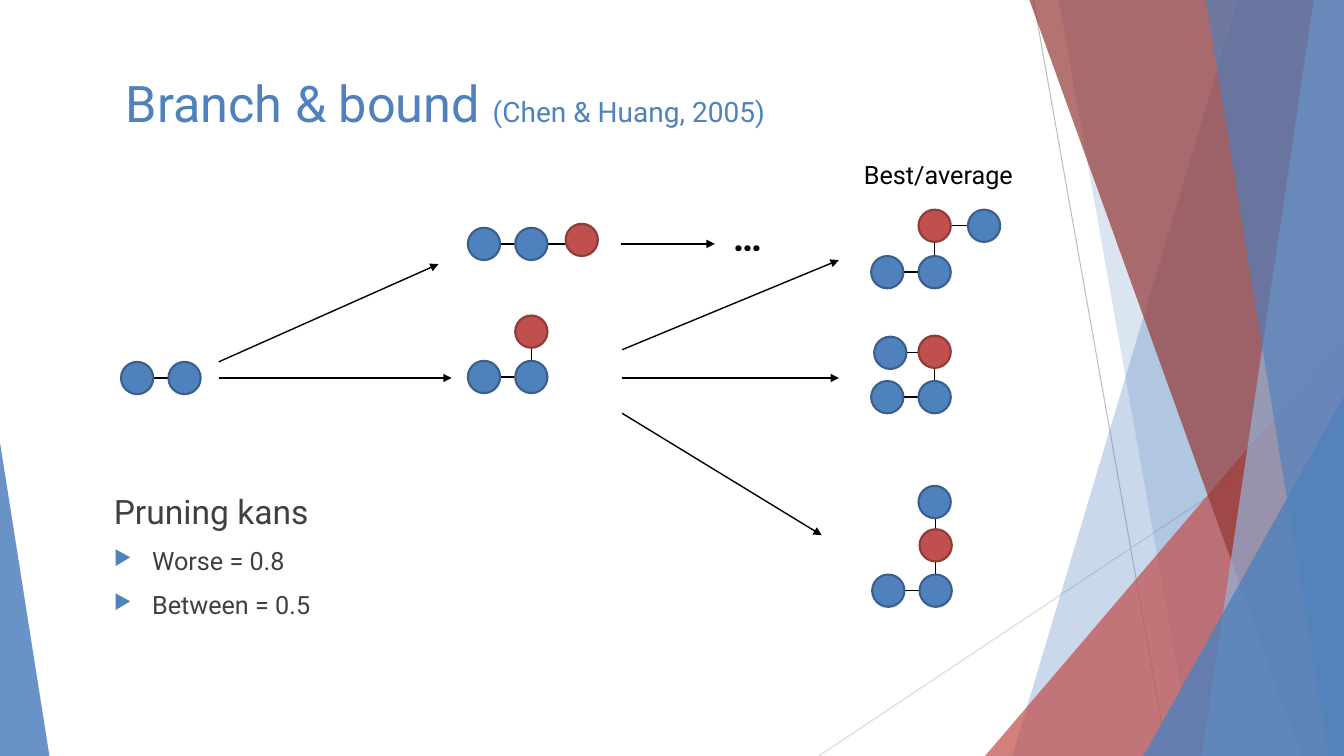
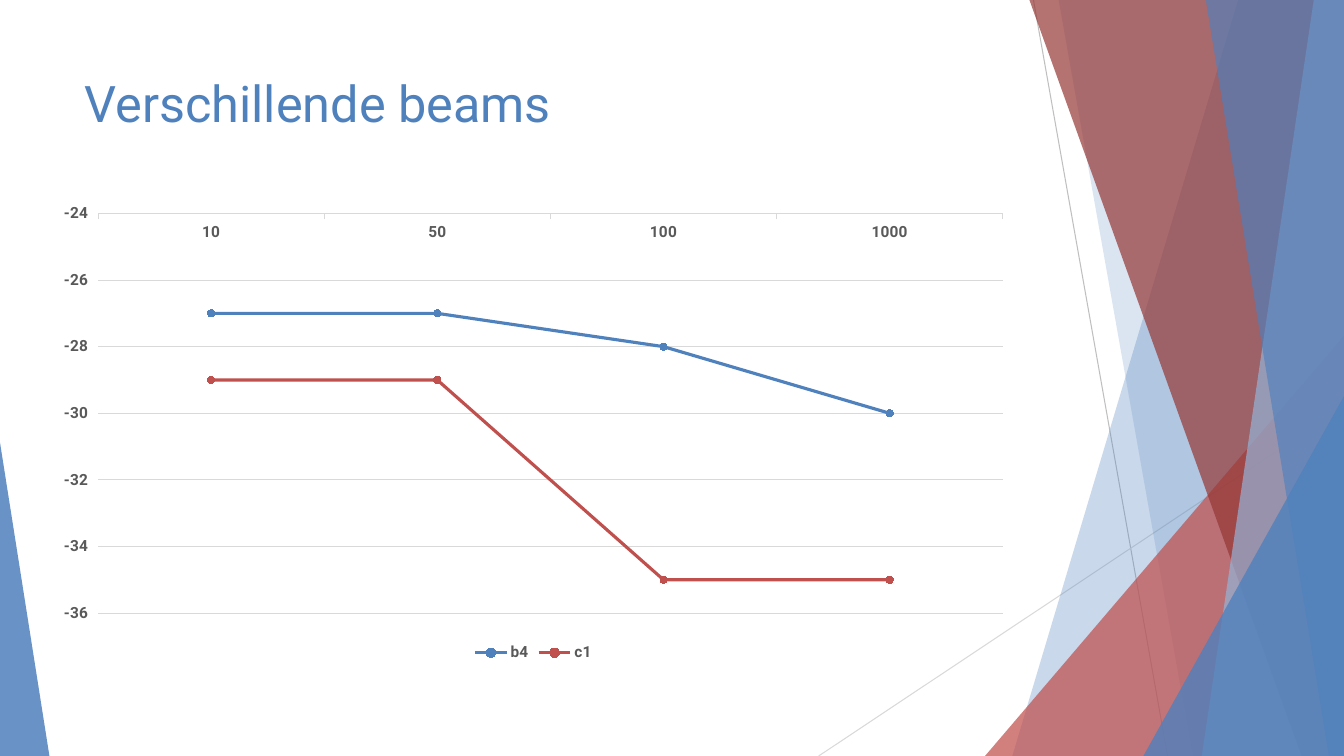
import dataclasses
import functools

import lxml.etree
import pptx
import pptx.chart.data
import pptx.dml.color
import pptx.enum.chart
import pptx.enum.shapes
import pptx.enum.text
import pptx.oxml.ns
import pptx.util

Inches, Pt = pptx.util.Inches, pptx.util.Pt
Shape = pptx.enum.shapes.MSO_SHAPE
qn = pptx.oxml.ns.qn
rgb = pptx.dml.color.RGBColor.from_string


@dataclasses.dataclass(frozen=True)
class Theme:
    face: str = "Roboto"
    blue: str = "4F81BD"
    navy: str = "3A5F8C"
    sky: str = "95B3D7"
    red: str = "C0504D"
    wine: str = "8E3B39"
    brick: str = "953735"
    black: str = "000000"
    dark: str = "404040"
    gray: str = "595959"
    mid: str = "BFBFBF"
    pale: str = "D9D9D9"
    title: int = 36
    dots: int = 28
    head: int = 24
    cite: int = 20
    text: int = 18
    axis: int = 11
    chart: int = 10

    def font(self, size, tint, bold=False):
        return {"size": Pt(size), "name": self.face, "bold": bold,
                "color.rgb": rgb(tint)}


T = Theme()
WIDE, HIGH = 13.33, 7.5
BALL = 0.32
STEP = 0.47


# ---- Shared helpers ----
def style(item, vals):
    """Set each value on the item; dots in a key lead to inner objects."""
    for key, val in vals.items():
        *way, last = key.split(".")
        setattr(functools.reduce(getattr, way, item), last, val)


def paint(shape, tint, alpha=100, edge=None):
    shape.shadow.inherit = False
    shape.fill.solid()
    shape.fill.fore_color.rgb = rgb(tint)
    if alpha < 100:
        clr = shape.element.spPr.find(".//" + qn("a:srgbClr"))
        lxml.etree.SubElement(clr, qn("a:alpha"), val=str(alpha * 1000))
    if edge:
        style(shape.line, {"color.rgb": rgb(edge), "width": Pt(1.5)})
    else:
        shape.line.fill.background()


def rule(shapes, start, end, tint=T.black, width=1, arrow=False):
    line = shapes.add_connector(
        pptx.enum.shapes.MSO_CONNECTOR.STRAIGHT,
        *(Inches(v) for v in (*start, *end)))
    style(line.line, {"color.rgb": rgb(tint), "width": Pt(width)})
    props = line.element.spPr
    if arrow:
        lxml.etree.SubElement(props.find(qn("a:ln")), qn("a:tailEnd"),
                              type="triangle")
    lxml.etree.SubElement(props, qn("a:effectLst"))


def bullet(para):
    props = para._p.get_or_add_pPr()
    props.set("marL", str(Inches(0.38)))
    props.set("indent", str(-Inches(0.38)))
    clr = lxml.etree.SubElement(props, qn("a:buClr"))
    lxml.etree.SubElement(clr, qn("a:srgbClr"), val=T.blue)
    lxml.etree.SubElement(props, qn("a:buSzPct"), val="80000")
    lxml.etree.SubElement(props, qn("a:buChar"), char="▶")


def write(slide, box, paras, wrap=True):
    """Each paragraph is (has bullet, [(text, font values), ...])."""
    frame = slide.shapes.add_textbox(*(Inches(v) for v in box)).text_frame
    style(frame, {"word_wrap": wrap,
                  "vertical_anchor": pptx.enum.text.MSO_ANCHOR.TOP})
    for num, (dot, runs) in enumerate(paras):
        para = frame.add_paragraph() if num else frame.paragraphs[0]
        if dot:
            bullet(para)
        if num:
            para.space_before = Pt(10)
        for text, font in runs:
            run = para.add_run()
            run.text = text
            style(run.font, font)


# ---- Shared slide parts ----
def facets(slide, box):
    x, y, w, h = box
    group = slide.shapes.add_group_shape().shapes

    def band(top, base, tint, alpha):
        spots = [(x + top, y), (x + w, y), (x + w, y + h), (x + base, y + h)]
        spots = [(Inches(a), Inches(b)) for a, b in spots]
        form = group.build_freeform(*spots[0], scale=1.0)
        form.add_line_segments(spots[1:], close=True)
        paint(form.convert_to_shape(), tint, alpha)

    def wedge(left, wide, tall, peak, tint, alpha):
        shape = group.add_shape(
            Shape.ISOSCELES_TRIANGLE, Inches(x + left), Inches(y + h - tall),
            Inches(wide), Inches(tall))
        shape.adjustments[0] = peak
        paint(shape, tint, alpha)

    rule(group, (x + 10.25, y), (x + 11.58, y + h), T.mid, 0.75)
    rule(group, (x + w, y + 4.03), (x + 8.12, y + h), T.pale, 0.75)
    band(12.28, 10.04, T.blue, 30)
    band(10.5, 11.83, T.blue, 20)
    wedge(w - 3.56, 3.56, 4.17, 1, T.red, 72)
    band(10.21, 12.91, T.brick, 70)
    band(13.03, 11.92, T.sky, 70)
    band(11.96, 13.18, T.blue, 65)
    wedge(w - 1.99, 1.99, 3.57, 1, T.blue, 80)
    wedge(0, 0.49, 3.11, 0, T.blue, 85)


def start(deck, left, title, cite=""):
    slide = deck.slides.add_slide(deck.slide_layouts[6])
    facets(slide, (0, 0, WIDE, HIGH))
    runs = [(title, T.font(T.title, T.blue))]
    if cite:
        runs.append((cite, T.font(T.cite, T.blue)))
    write(slide, (left, 0.67, 9.4, 1.44), [(False, runs)])
    return slide


# ---- Branch and bound ----
def chain(slide, spot, balls, bonds):
    """Balls are (colour key, x, y) from the spot; bonds join ball numbers."""
    x, y = spot
    mids = [(x + a + BALL / 2, y + b + BALL / 2) for _, a, b in balls]
    for one, two in bonds:
        (ax, ay), (bx, by) = mids[one], mids[two]
        flat = abs(bx - ax) > abs(by - ay)
        rule(slide.shapes, (ax, ay), (bx, ay) if flat else (ax, by))
    for kind, a, b in balls:
        shape = slide.shapes.add_shape(
            Shape.OVAL, Inches(x + a), Inches(y + b),
            Inches(BALL), Inches(BALL))
        fill, edge = {"B": (T.blue, T.navy), "R": (T.red, T.wine)}[kind]
        paint(shape, fill, edge=edge)


def tree(slide, box):
    x, y = box[:2]
    chains = [
        # Root
        ((0, 1.51), [("B", 0, 0), ("B", STEP, 0)], [(0, 1)]),
        # Second level
        ((3.44, 0.14), [("B", 0, 0.04), ("B", STEP, 0.04), ("R", 0.97, 0)],
         [(0, 1), (1, 2)]),
        ((3.44, 1.05), [("R", STEP, 0), ("B", 0, 0.45), ("B", STEP, 0.45)],
         [(0, 2), (1, 2)]),
        # Third level
        ((7.44, 0), [("R", STEP, 0), ("B", 0.96, 0), ("B", 0, 0.46),
                     ("B", STEP, 0.46)], [(0, 1), (2, 3), (0, 3)]),
        ((7.44, 1.25), [("B", 0.03, 0.01), ("R", STEP, 0), ("B", 0, 0.45),
                        ("B", STEP, 0.45)], [(0, 1), (2, 3), (1, 3)]),
        ((7.45, 2.74), [("B", 0.46, 0), ("R", STEP, 0.43), ("B", 0, 0.88),
                        ("B", STEP, 0.88)], [(1, 0), (2, 3), (1, 3)]),
    ]
    for (a, b), balls, bonds in chains:
        chain(slide, (x + a, y + b), balls, bonds)

    arrows = [(0.97, 1.67, 3.28, 1.67), (0.97, 1.51, 3.15, 0.54),
              (4.96, 0.34, 5.89, 0.34), (4.97, 1.39, 7.12, 0.5),
              (4.97, 1.67, 7.12, 1.67), (4.97, 2.02, 6.95, 3.23)]
    for a, b, c, d in arrows:
        rule(slide.shapes, (x + a, y + b), (x + c, y + d), arrow=True)

    write(slide, (x + 5.97, y - 0.02, 0.89, 0.57),
          [(False, [("…", T.font(T.dots, T.black, True))])])
    write(slide, (x + 7.27, y - 0.55, 1.71, 0.4),
          [(False, [("Best/average", T.font(T.text, T.black))])], wrap=False)


def odds(slide, box):
    item = T.font(T.text, T.dark)
    write(slide, box, [
        (False, [("Pruning kans", T.font(T.head, T.dark))]),
        (True, [("Worse = 0.8", item)]),
        (True, [("Between = 0.5", item)])])


# ---- Beam chart ----
def graph(slide, box):
    enum = pptx.enum.chart
    data = pptx.chart.data.CategoryChartData()
    data.categories = ["10", "50", "100", "1000"]
    data.add_series("b4", (-27, -27, -28, -30))
    data.add_series("c1", (-29, -29, -35, -35))
    chart = slide.shapes.add_chart(
        enum.XL_CHART_TYPE.LINE_MARKERS, *(Inches(v) for v in box),
        data).chart
    style(chart, {"has_title": False, "has_legend": True})
    style(chart.font, T.font(T.chart, T.black))
    style(chart.legend, {"position": enum.XL_LEGEND_POSITION.BOTTOM,
                         "include_in_layout": False})
    chart.plots[0].vary_by_categories = False

    # Axes and grid
    label = T.font(T.axis, T.gray, True)
    thin = {"color.rgb": rgb(T.pale), "width": Pt(0.75)}
    cat, val = chart.category_axis, chart.value_axis
    for font in (chart.legend.font, cat.tick_labels.font,
                 val.tick_labels.font):
        style(font, label)
    for axis in (cat, val):
        style(axis, {"major_tick_mark": enum.XL_TICK_MARK.OUTSIDE,
                     "minor_tick_mark": enum.XL_TICK_MARK.NONE})
    style(val, {"minimum_scale": -36, "maximum_scale": -24, "major_unit": 2,
                "has_major_gridlines": True})
    style(cat.format.line, thin)
    style(val.major_gridlines.format.line, thin)
    val.format.line.fill.background()

    # Lines and markers
    for row, tint in zip(chart.plots[0].series, (T.blue, T.red)):
        row.smooth = False
        style(row.format.line, {"color.rgb": rgb(tint), "width": Pt(2.25)})
        style(row.marker, {"style": enum.XL_MARKER_STYLE.CIRCLE, "size": 5})
        row.marker.format.fill.solid()
        style(row.marker.format, {"fill.fore_color.rgb": rgb(tint),
                                  "line.color.rgb": rgb(tint)})


def main():
    deck = pptx.Presentation()
    style(deck, {"slide_width": Inches(WIDE), "slide_height": Inches(HIGH)})

    slide = start(deck, 1.15, "Branch & bound ", "(Chen & Huang, 2005)")
    tree(slide, (1.2, 2.08, 8.72, 3.94))
    odds(slide, (1.03, 4.82, 2.29, 1.55))

    slide = start(deck, 0.74, "Verschillende beams")
    graph(slide, (0.44, 1.93, 9.7, 4.68))

    deck.save("out.pptx")


if __name__ == "__main__":
    main()
